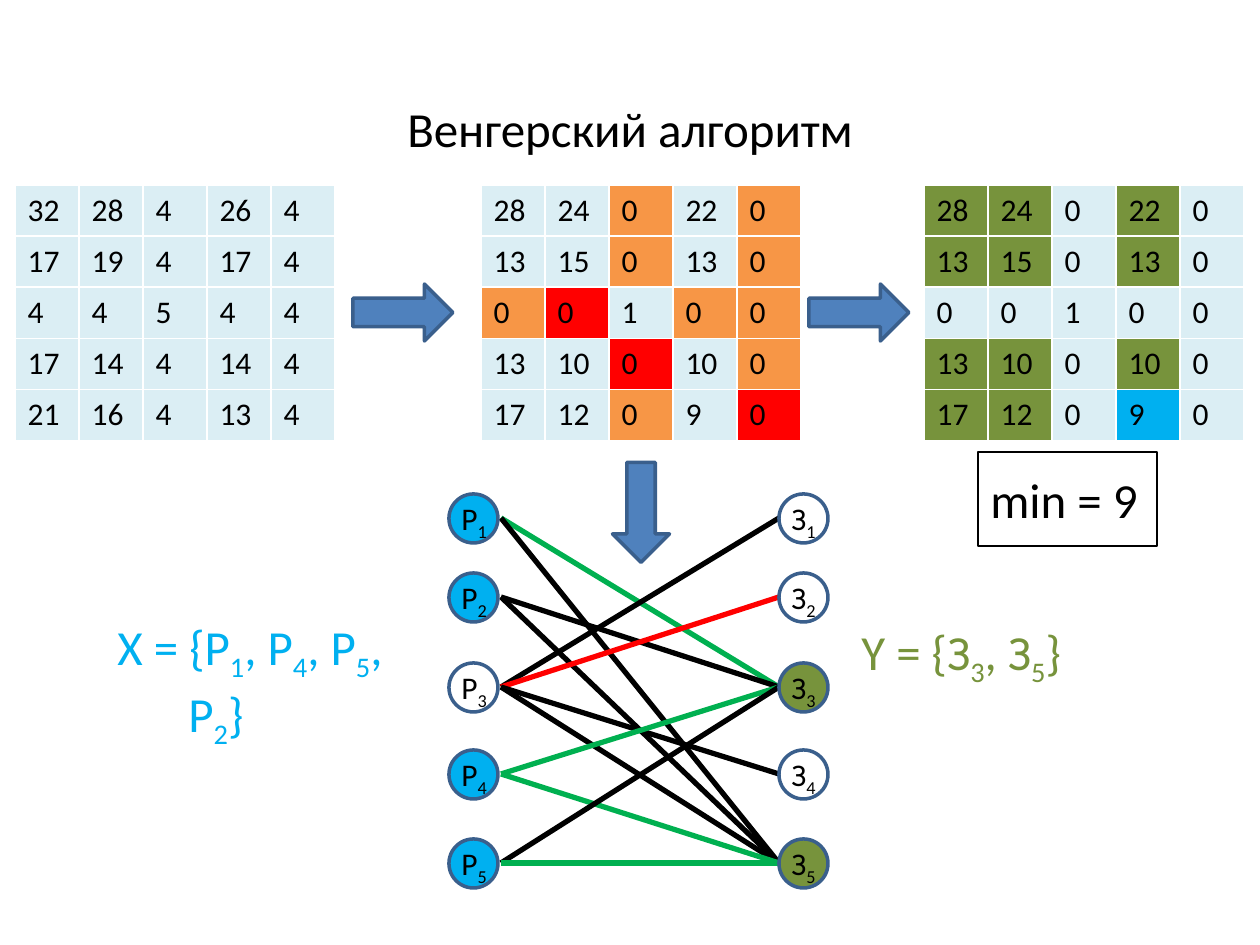
"""Builds the slide on one step of the Hungarian algorithm."""
from lxml.etree import SubElement
from pptx import Presentation
from pptx.dml.color import RGBColor
from pptx.enum.shapes import MSO_CONNECTOR, MSO_SHAPE
from pptx.enum.text import MSO_ANCHOR, MSO_AUTO_SIZE, PP_ALIGN
from pptx.oxml.ns import qn
from pptx.util import Emu, Pt

BLACK, RED, GREEN = "000000", "FF0000", "00B050"
WHITE, CYAN, OLIVE = "FFFFFF", "00B0F0", "77933C"
ARROW, OUTLINE = "4F81BD", "3A5F8C"
CELL_FILLS = {".": "DBEEF4", "o": "F79646", "r": RED, "g": OLIVE, "c": CYAN}

TITLE = "Венгерский алгоритм"
REDUCED = [
    [28, 24, 0, 22, 0],
    [13, 15, 0, 13, 0],
    [0, 0, 1, 0, 0],
    [13, 10, 0, 10, 0],
    [17, 12, 0, 9, 0],
]
SOURCE = [
    [32, 28, 4, 26, 4],
    [17, 19, 4, 17, 4],
    [4, 4, 5, 4, 4],
    [17, 14, 4, 14, 4],
    [21, 16, 4, 13, 4],
]
MATRICES = [
    (15, SOURCE, [".....", ".....", ".....", ".....", "....."]),
    (924, REDUCED, ["gg.g.", "gg.g.", ".....", "gg.g.", "gg.c."]),
    (481, REDUCED, ["..o.o", "..o.o", "or.oo", "..r.o", "..o.r"]),
]
ARROWS = [(353, 284, 0), (809, 284, 0), (591, 484, 90)]
NODE_TOPS = [494, 573, 663, 750, 839]
COLUMNS = [
    ("Р", 449, [CYAN, CYAN, WHITE, CYAN, CYAN]),
    ("З", 779, [WHITE, WHITE, OLIVE, WHITE, OLIVE]),
]
EDGES = [
    (1, 3, GREEN), (1, 5, BLACK), (2, 3, BLACK), (2, 5, BLACK),
    (3, 1, BLACK), (3, 2, RED), (3, 4, BLACK), (3, 5, BLACK),
    (4, 5, GREEN), (4, 3, GREEN), (5, 3, BLACK), (5, 5, GREEN),
]
SETS = [
    ("Y = {З_3, З_5}", 849, OLIVE, 64),
    ("X = {Р_1, Р_4, Р_5, Р_2}", 105, CYAN, 6),
]
COL_W, ROW_H, NODE, EDGE_LEFT = 64, 51, 49, 501


def px(n):
    return Emu(round(n * 914400 / 126))


def box(*lengths):
    return [px(n) for n in lengths]


def rgb(code):
    return RGBColor.from_string(code)


def style(sp, fill, line, width):
    sp.shadow.inherit = False
    if fill:
        sp.fill.solid()
        sp.fill.fore_color.rgb = rgb(fill)
    else:
        sp.fill.background()
    sp.line.color.rgb = rgb(line)
    sp.line.width = Pt(width)


def write(tf, text, size, color=BLACK, align=PP_ALIGN.LEFT, hanging=0):
    """Write text in which an underscore lowers the next character."""
    p = tf.paragraphs[0]
    p.alignment = align
    p.font.size, p.font.name = Pt(size), "Calibri"
    p.font.color.rgb = rgb(color)
    if hanging:
        pPr = p._p.get_or_add_pPr()
        pPr.set("marL", str(px(hanging)))
        pPr.set("indent", str(-px(hanging)))
    first, *rest = text.split("_")
    p.add_run().text = first
    for part in rest:
        r = p.add_run()
        r.text = part[0]
        r._r.get_or_add_rPr().set("baseline", "-25000")
        if part[1:]:
            p.add_run().text = part[1:]
    return p


def add_matrix(shapes, left, values, marks):
    rows, cols = len(values), len(values[0])
    frame = shapes.add_table(rows, cols, *box(left, 185, cols * COL_W, rows * ROW_H))
    for col in frame.table.columns:
        col.width = px(COL_W)
    for i, (row, row_marks) in enumerate(zip(values, marks)):
        for j, (value, mark) in enumerate(zip(row, row_marks)):
            cell = frame.table.cell(i, j)
            cell.fill.solid()
            cell.fill.fore_color.rgb = rgb(CELL_FILLS[mark])
            write(cell.text_frame, str(value), 18).font.bold = False


def add_edge(shapes, start, end, color):
    y1, y2 = (NODE_TOPS[n - 1] + NODE // 2 for n in (end, start))
    line = shapes.add_connector(MSO_CONNECTOR.STRAIGHT, *box(COLUMNS[1][1], y1, EDGE_LEFT, y2))
    line.line.color.rgb = rgb(color)
    line.line.width = Pt(3)
    SubElement(line._element.spPr, qn("a:effectLst"))


def add_node(shapes, label, left, top, fill):
    sp = shapes.add_shape(MSO_SHAPE.OVAL, *box(left, top, NODE, NODE))
    style(sp, fill, OUTLINE, 2)
    tf = shapes.add_textbox(*box(left, top - 1, 53, 51)).text_frame
    tf.word_wrap = False
    tf.auto_size = MSO_AUTO_SIZE.SHAPE_TO_FIT_TEXT
    write(tf, label, 18)


def main():
    prs = Presentation()
    prs.slide_width, prs.slide_height = box(1260, 945)
    shapes = prs.slides.add_slide(prs.slide_layouts[5]).shapes

    title = shapes.title
    title.left, title.top, title.width, title.height = box(94, 26, 1072, 203)
    title.text_frame.vertical_anchor = MSO_ANCHOR.MIDDLE
    write(title.text_frame, TITLE, 28, align=PP_ALIGN.CENTER, hanging=71)

    for matrix in MATRICES:
        add_matrix(shapes, *matrix)

    for left, top, angle in ARROWS:
        sp = shapes.add_shape(MSO_SHAPE.RIGHT_ARROW, *box(left, top, 100, 57))
        sp.rotation = angle
        style(sp, ARROW, OUTLINE, 2)

    minimum = shapes.add_shape(MSO_SHAPE.RECTANGLE, *box(978, 452, 179, 94))
    style(minimum, None, BLACK, 0.75)
    minimum.text_frame.vertical_anchor = MSO_ANCHOR.MIDDLE
    write(minimum.text_frame, "min = 9", 28, hanging=71)

    for edge in EDGES:
        add_edge(shapes, *edge)
    for letter, left, fills in COLUMNS:
        for n, (top, fill) in enumerate(zip(NODE_TOPS, fills), 1):
            add_node(shapes, f"{letter}_{n}", left, top, fill)

    for text, left, color, bottom in SETS:
        tf = shapes.add_textbox(*box(left, 582, 336, 203)).text_frame
        tf.word_wrap = True
        tf.vertical_anchor = MSO_ANCHOR.MIDDLE
        tf.margin_bottom = px(bottom)
        write(tf, text, 28, color, hanging=71)

    prs.save("out.pptx")


if __name__ == "__main__":
    main()
